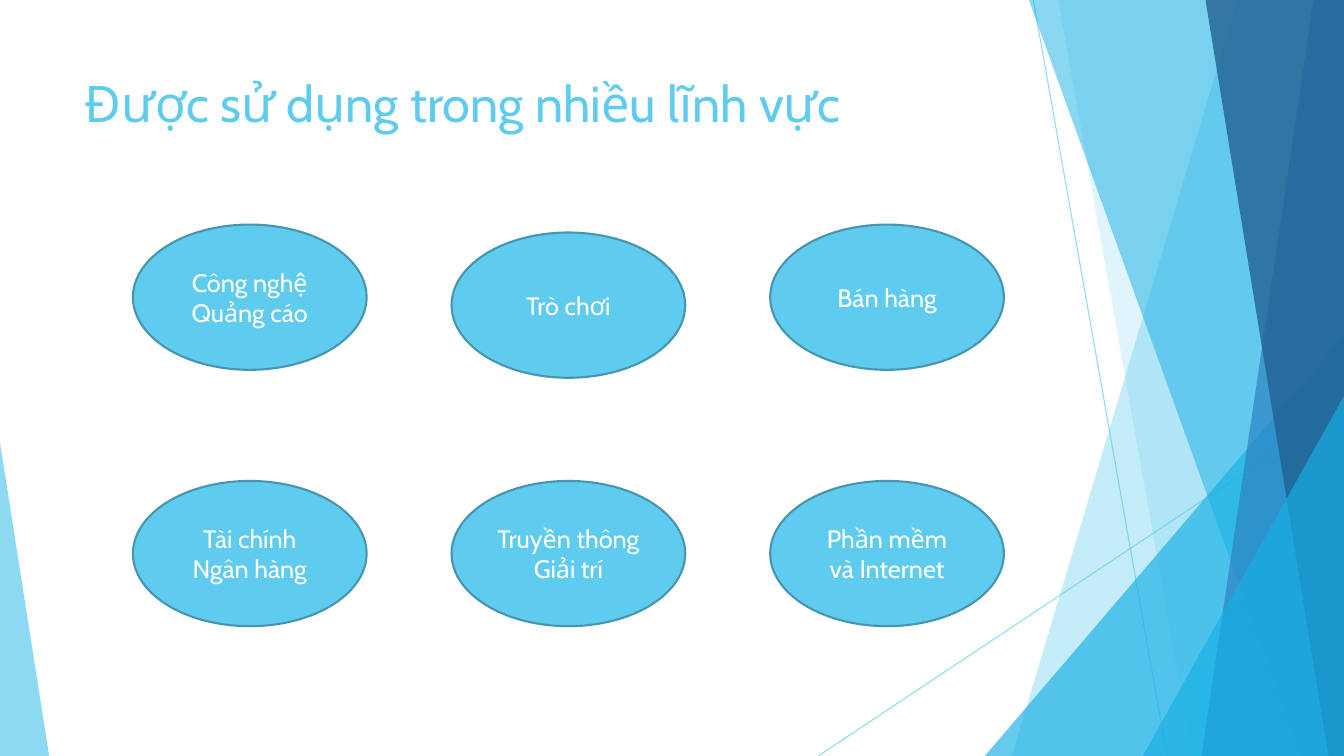
from dataclasses import dataclass

from lxml import etree
from pptx import Presentation
from pptx.dml.color import RGBColor
from pptx.enum.shapes import MSO_CONNECTOR, MSO_SHAPE
from pptx.enum.text import MSO_ANCHOR, MSO_AUTO_SIZE, PP_ALIGN
from pptx.oxml.ns import qn
from pptx.util import Cm, Pt

STRAIGHT = MSO_CONNECTOR.STRAIGHT
ELLIPSE = MSO_SHAPE.OVAL
TRIANGLE = MSO_SHAPE.ISOSCELES_TRIANGLE
TOP, MIDDLE = MSO_ANCHOR.TOP, MSO_ANCHOR.MIDDLE
LEFT, CENTER = PP_ALIGN.LEFT, PP_ALIGN.CENTER
NO_AUTOFIT = MSO_AUTO_SIZE.NONE


@dataclass(frozen=True)
class Theme:
    font: str = "Cabin"
    title_size: int = 36
    field_size: int = 18
    sky: str = "5FCBEF"
    cyan: str = "17B0E4"
    blue: str = "2E83C3"
    navy: str = "226292"
    outline: str = "4696B1"
    white: str = "FFFFFF"


THEME = Theme()
WIDTH, HEIGHT = 33.87, 19.05  # centimetres

TITLE = "Được sử dụng trong nhiều lĩnh vực"
FIELDS = [
    ["Công nghệ Quảng cáo", "Trò chơi", "Bán hàng"],
    ["Tài chính Ngân hàng", "Truyền thông Giải trí", "Phần mềm và Internet"],
]
FIELD_LEFT, FIELD_STEP = 3.35, 8.03
FIELD_TOPS = [5.66, 12.12]
FIELD_WIDTH, FIELD_HEIGHT = 5.89, 3.66
FIELD_DROPS = {"Trò chơi": 0.2}

# Start and end points
RAYS = [(26.04, 0, 29.41, HEIGHT), (WIDTH, 10.24, 20.62, HEIGHT)]
# Left edge at the top, left edge at the bottom, colour, opacity in percent
BACK_BANDS = [(31.19, 25.5, THEME.sky, 36), (26.67, 30.05, THEME.sky, 20)]
FRONT_BANDS = [
    (25.93, 32.79, THEME.cyan, 50),
    (33.1, 30.28, THEME.blue, 70),
    (30.38, 33.48, THEME.navy, 80),
]
# Left, top, width, apex position, colour, opacity in percent
BACK_WEDGE = (24.82, 8.46, 9.05, 1, THEME.cyan, 66)
FRONT_WEDGES = [
    (28.8, 9.98, 5.07, 1, THEME.cyan, 66),
    (0, 11.15, 1.24, 0, THEME.sky, 70),
]


def set_opacity(shape, percent):
    for color in shape._element.spPr.iter(qn("a:srgbClr")):
        etree.SubElement(color, qn("a:alpha")).set("val", str(percent * 1000))


def fill_facet(shape, color, opacity):
    shape.shadow.inherit = False
    shape.fill.solid()
    shape.fill.fore_color.rgb = RGBColor.from_string(color)
    shape.line.fill.background()
    set_opacity(shape, opacity)


def format_text(text_frame, size, color, alignment, anchor):
    text_frame.word_wrap = True
    text_frame.auto_size = NO_AUTOFIT
    text_frame.vertical_anchor = anchor
    for paragraph in text_frame.paragraphs:
        paragraph.alignment = alignment
        for run in paragraph.runs:
            run.font.name = THEME.font
            run.font.size = Pt(size)
            run.font.color.rgb = RGBColor.from_string(color)


def add_ray(slide, *ends):
    ray = slide.shapes.add_connector(STRAIGHT, *(Cm(end) for end in ends))
    ray.line.color.rgb = RGBColor.from_string(THEME.sky)
    ray.line.width = Pt(0.75)
    set_opacity(ray, 70)
    etree.SubElement(ray._element.spPr, qn("a:effectLst"))


def add_band(slide, top_left, bottom_left, color, opacity):
    builder = slide.shapes.build_freeform(Cm(top_left), 0)
    corners = [(WIDTH, 0), (WIDTH, HEIGHT), (bottom_left, HEIGHT)]
    builder.add_line_segments([(Cm(x), Cm(y)) for x, y in corners], close=True)
    fill_facet(builder.convert_to_shape(), color, opacity)


def add_wedge(slide, left, top, width, apex, color, opacity):
    wedge = slide.shapes.add_shape(
        TRIANGLE, Cm(left), Cm(top), Cm(width), Cm(HEIGHT - top))
    wedge.adjustments[0] = apex
    fill_facet(wedge, color, opacity)


def add_title(slide):
    title = slide.shapes.title
    title.left, title.top = Cm(1.88), Cm(1.7)
    title.width, title.height = Cm(23.88), Cm(3.66)
    title.text_frame.text = TITLE
    format_text(title.text_frame, THEME.title_size, THEME.sky, LEFT, TOP)


def add_field(slide, text, left, top):
    field = slide.shapes.add_shape(
        ELLIPSE, Cm(left), Cm(top), Cm(FIELD_WIDTH), Cm(FIELD_HEIGHT))
    field.shadow.inherit = False
    field.fill.solid()
    field.fill.fore_color.rgb = RGBColor.from_string(THEME.sky)
    field.line.color.rgb = RGBColor.from_string(THEME.outline)
    field.line.width = Pt(1.5)
    field.text_frame.text = text
    format_text(field.text_frame, THEME.field_size, THEME.white, CENTER, MIDDLE)


def main():
    presentation = Presentation()
    presentation.slide_width, presentation.slide_height = Cm(WIDTH), Cm(HEIGHT)
    slide = presentation.slides.add_slide(presentation.slide_layouts[5])

    # Decorative facets, from back to front
    for ray in RAYS:
        add_ray(slide, *ray)
    for band in BACK_BANDS:
        add_band(slide, *band)
    add_wedge(slide, *BACK_WEDGE)
    for band in FRONT_BANDS:
        add_band(slide, *band)
    for wedge in FRONT_WEDGES:
        add_wedge(slide, *wedge)

    # Title and grid of fields
    add_title(slide)
    for top, row in zip(FIELD_TOPS, FIELDS):
        for column, text in enumerate(row):
            left = FIELD_LEFT + column * FIELD_STEP
            add_field(slide, text, left, top + FIELD_DROPS.get(text, 0))

    presentation.save("out.pptx")


if __name__ == "__main__":
    main()
